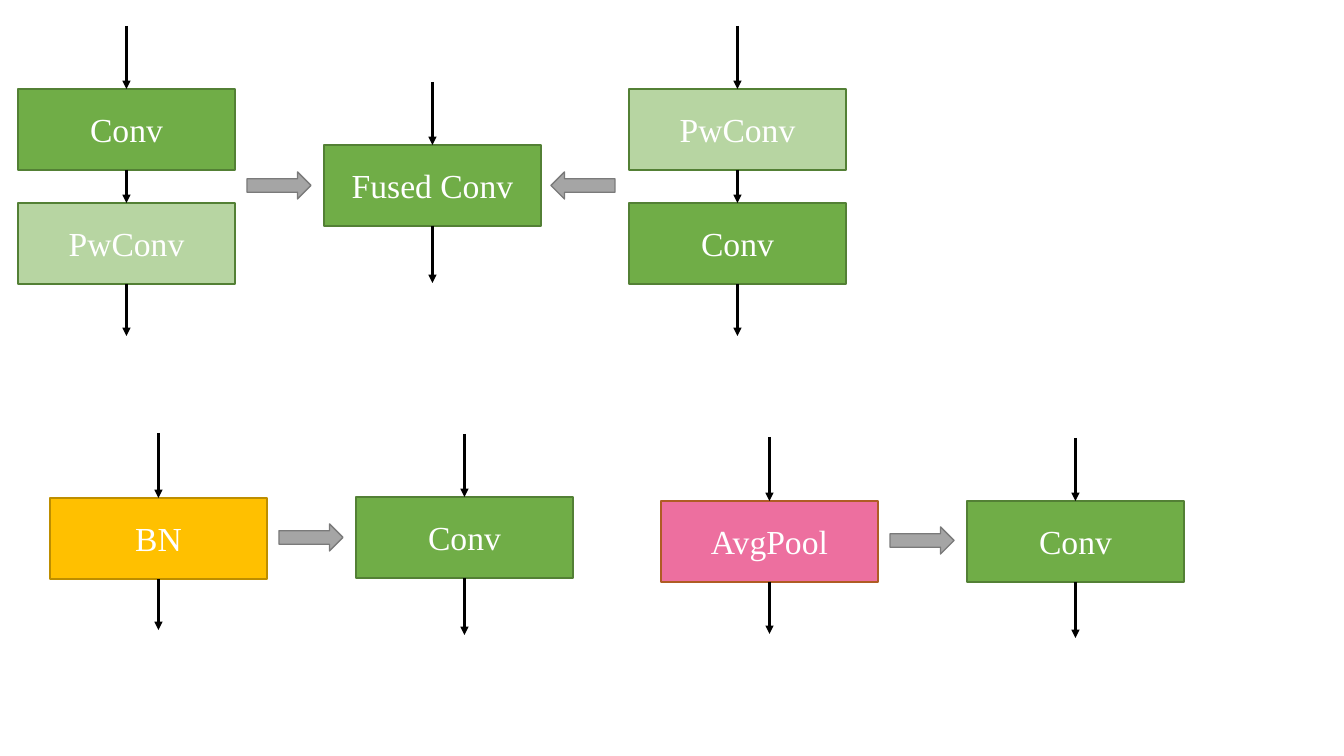
import lxml.etree
import pptx
import pptx.util
import pptx.dml.color
import pptx.enum.shapes
import pptx.enum.text
import pptx.oxml.ns

# Layers: label, fill, outline, opacity in percent
CONV = ("Conv", "70AD47", "538035", 100)
PWCONV = ("PwConv", "70AD47", "538035", 50)
FUSED = ("Fused Conv", "70AD47", "538035", 100)
BN = ("BN", "FFC000", "BD8E00", 100)
AVGPOOL = ("AvgPool", "ED6F9F", "AF5C24", 100)

# Flows: left, top of first layer, start of input, end of output, layers
FLOWS = [
    (18, 89, 26, 336, [CONV, PWCONV]),
    (324, 145, 82, 283, [FUSED]),
    (629, 89, 26, 336, [PWCONV, CONV]),
    (50, 498, 433, 630, [BN]),
    (356, 497, 434, 635, [CONV]),
    (661, 501, 437, 634, [AVGPOOL]),
    (967, 501, 438, 638, [CONV]),
]
# Conversions: left, top, rotation of the block arrow
CONVERSIONS = [(247, 172, 0), (551, 172, 180), (279, 524, 0), (890, 527, 0)]

LAYER_W, LAYER_H, LAYER_STEP = 217, 81, 114
BLOCK_W, BLOCK_H = 64, 27
EMU_PER_PX = 914400 / 100.8
TOP, BOTTOM = 0, 2
SHAPES = pptx.enum.shapes.MSO_SHAPE


def px(length):
    return pptx.util.Emu(round(length * EMU_PER_PX))


def colour(hex_string):
    return pptx.dml.color.RGBColor.from_string(hex_string)


def add_xml(parent, tag, **attributes):
    lxml.etree.SubElement(parent, pptx.oxml.ns.qn(tag), attributes)


def add_block(kind, left, top, width, height, fill, outline):
    block = slide.shapes.add_shape(kind, px(left), px(top), px(width), px(height))
    block.shadow.inherit = False
    block.fill.solid()
    block.fill.fore_color.rgb = colour(fill)
    block.line.color.rgb = colour(outline)
    block.line.width = pptx.util.Pt(1)
    return block


def add_layer(left, top, layer):
    label, fill, outline, opacity = layer
    block = add_block(SHAPES.RECTANGLE, left, top, LAYER_W, LAYER_H, fill, outline)
    if opacity < 100:
        solid = block._element.spPr.find(pptx.oxml.ns.qn("a:solidFill"))
        add_xml(solid[0], "a:alpha", val=str(opacity * 1000))
    frame = block.text_frame
    frame.vertical_anchor = pptx.enum.text.MSO_ANCHOR.MIDDLE
    paragraph = frame.paragraphs[0]
    paragraph.text = label
    paragraph.alignment = pptx.enum.text.PP_ALIGN.CENTER
    paragraph.font.size = pptx.util.Pt(24)
    paragraph.font.name = "Times New Roman"
    paragraph.font.color.rgb = colour("FFFFFF")
    return block


def add_flow_arrow(x, start, end, source=None, target=None):
    arrow = slide.shapes.add_connector(
        pptx.enum.shapes.MSO_CONNECTOR.STRAIGHT, x, start, x, end)
    if source is not None:
        arrow.begin_connect(source, BOTTOM)
    if target is not None:
        arrow.end_connect(target, TOP)
    arrow.line.color.rgb = colour("000000")
    arrow.line.width = pptx.util.Pt(1.5)
    properties = arrow._element.spPr
    add_xml(properties.find(pptx.oxml.ns.qn("a:ln")), "a:tailEnd", type="triangle")
    add_xml(properties, "a:effectLst")


deck = pptx.Presentation()
deck.slide_width, deck.slide_height = px(1344), px(756)
slide = deck.slides.add_slide(deck.slide_layouts[6])

# Layers with their vertical arrows
for left, top, start, end, layers in FLOWS:
    blocks = [add_layer(left, top + i * LAYER_STEP, layer)
              for i, layer in enumerate(layers)]
    centre = blocks[0].left + blocks[0].width // 2
    add_flow_arrow(centre, px(start), blocks[0].top, target=blocks[0])
    for upper, lower in zip(blocks, blocks[1:]):
        add_flow_arrow(centre, upper.top + upper.height, lower.top, upper, lower)
    last = blocks[-1]
    add_flow_arrow(centre, last.top + last.height, px(end), source=last)

# Block arrows between flows
for left, top, rotation in CONVERSIONS:
    conversion = add_block(SHAPES.RIGHT_ARROW, left, top, BLOCK_W, BLOCK_H,
                           "A5A5A5", "7A7A7A")
    conversion.rotation = rotation

deck.save("out.pptx")
